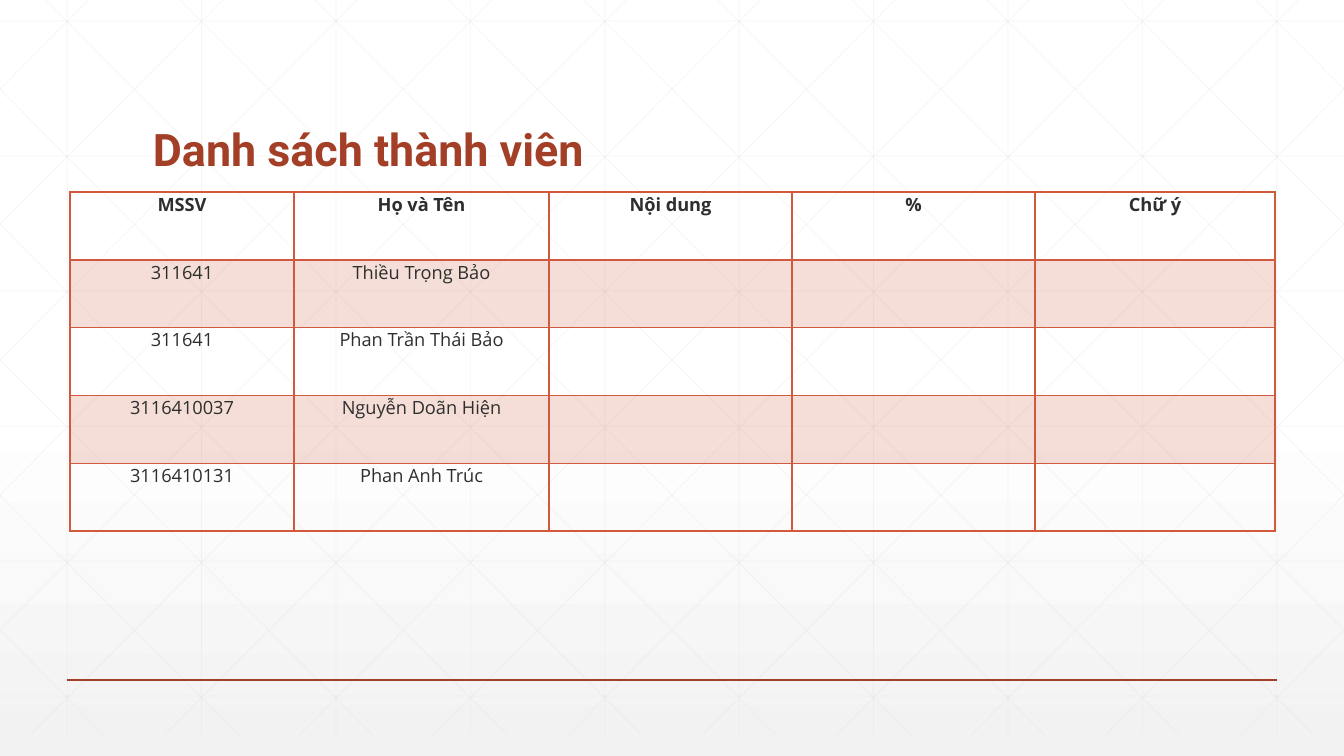
import pptx
import pptx.util
import pptx.dml.color
import pptx.enum.shapes
import pptx.enum.text
import pptx.oxml
import pptx.oxml.ns

RGB = pptx.dml.color.RGBColor
ALIGN = pptx.enum.text.PP_ALIGN
ANCHOR = pptx.enum.text.MSO_ANCHOR
qn = pptx.oxml.ns.qn

WHITE = RGB(0xFF, 0xFF, 0xFF)
PALE = RGB(0xF2, 0xF2, 0xF2)
MESH = RGB(0xD9, 0xD9, 0xD9)
RUST = RGB(0xA4, 0x3F, 0x27)
CORAL = RGB(0xD1, 0x5A, 0x3E)
INK = RGB(0x2D, 0x2E, 0x2D)

WIDE, HIGH = 1344, 756
SCALE = 914400 / 100.8  # EMU per pixel

HEAD = ["MSSV", "Họ và Tên", "Nội dung", "%", "Chữ ý"]
PEOPLE = [
    ("311641", "Thiều Trọng Bảo"),
    ("311641", "Phan Trần Thái Bảo"),
    ("3116410037", "Nguyễn Doãn Hiện"),
    ("3116410131", "Phan Anh Trúc"),
]
COLS = [224, 255, 243, 243, 240]


def emu(px):
    return pptx.util.Emu(round(px * SCALE))


def fade(fill, percent):
    """Give a solid fill its opacity."""
    color = fill._xPr.find(qn("a:solidFill"))[0]
    pptx.oxml.ns  # namespace helpers serve the child below
    alpha = color.makeelement(qn("a:alpha"), {"val": str(percent * 1000)})
    color.append(alpha)


def rule(slide, start, end, color, width, percent=100):
    line = slide.shapes.add_connector(
        pptx.enum.shapes.MSO_CONNECTOR.STRAIGHT,
        *[emu(v) for v in (*start, *end)])
    line.line.width = pptx.util.Pt(width)
    line.line.color.rgb = color
    if percent < 100:
        fade(line.line.fill, percent)
    props = line._element.spPr
    props.append(props.makeelement(qn("a:effectLst"), {}))


def backdrop(slide):
    fill = slide.background.fill
    fill.gradient()
    fill.gradient_angle = 270
    for stop, place, color in zip(fill.gradient_stops, (0.53, 1), (WHITE, PALE)):
        stop.position = place
        stop.color.rgb = color


def mesh(slide, box):
    left, top, width, height = box
    right, base = left + width, top + height
    step, run = width / 10, 751
    slope = height / run
    lines = []
    # Upright and level lines
    for k in range(10):
        x = left + (k + 0.5) * step
        lines.append(((x, top), (x, base)))
    for k in range(6):
        y = top + 42 + k * 135
        lines.append(((left, y), (right, y)))
    # Diagonals, cut at the sides and mirrored
    for k in range(-5, 10):
        x = left + 25 + k * step
        near, far = max(x, left), min(x + run, right)
        a = (near, top + (near - x) * slope)
        b = (far, top + (far - x) * slope)
        lines.append((a, b))
        lines.append(tuple((left + right - u, v) for u, v in (a, b)))
    for start, end in lines:
        rule(slide, start, end, MESH, 0.5, 25)


def title(slide, box, text):
    frame = slide.shapes.add_textbox(*map(emu, box)).text_frame
    frame.word_wrap = True
    frame.vertical_anchor = ANCHOR.BOTTOM
    para = frame.paragraphs[0]
    para.text = text
    para.line_spacing = 0.9
    style(para, "Roboto", 32, RUST, True)


def style(para, name, size, color, bold):
    font = para.font
    font.name, font.size, font.bold = name, pptx.util.Pt(size), bold
    font.color.rgb = color


def edges(cell, widths):
    props = cell._tc.get_or_add_tcPr()
    for i, (side, width) in enumerate(zip("LRTB", widths)):
        props.insert(i, pptx.oxml.parse_xml(
            f'<a:ln{side} {pptx.oxml.ns.nsdecls("a")} w="{width * 12700}">'
            f'<a:solidFill><a:srgbClr val="{CORAL}"/></a:solidFill>'
            f'</a:ln{side}>'))


def roster(slide, box):
    rows = [HEAD] + [[*who, "", "", ""] for who in PEOPLE]
    table = slide.shapes.add_table(
        len(rows), len(COLS), *map(emu, box)).table
    for col, width in zip(table.columns, COLS):
        col.width = emu(width)
    for r, row in enumerate(rows):
        table.rows[r].height = emu(box[3] / len(rows))
        for c, text in enumerate(row):
            cell = table.cell(r, c)
            cell.margin_left = cell.margin_right = emu(7)
            cell.margin_top = cell.margin_bottom = 0
            # Every second row is tinted
            if r % 2:
                cell.fill.solid()
                cell.fill.fore_color.rgb = CORAL
                fade(cell.fill, 20)
            else:
                cell.fill.background()
            edges(cell, (1, 1, 2 if r == 1 else 1, 2 if r == 0 else 1))
            para = cell.text_frame.paragraphs[0]
            para.alignment = ALIGN.CENTER
            style(para, "Open Sans", 13, INK, r == 0)
            if text:
                para.text = text


deck = pptx.Presentation()
deck.slide_width, deck.slide_height = emu(WIDE), emu(HIGH)
page = deck.slides.add_slide(deck.slide_layouts[6])
backdrop(page)
mesh(page, (0, -21, WIDE, HIGH))
rule(page, (67, 680), (1277, 680), RUST, 1)
title(page, (143, 55, 1058, 126), "Danh sách thành viên")
roster(page, (70, 192, sum(COLS), 339))
deck.save("out.pptx")
